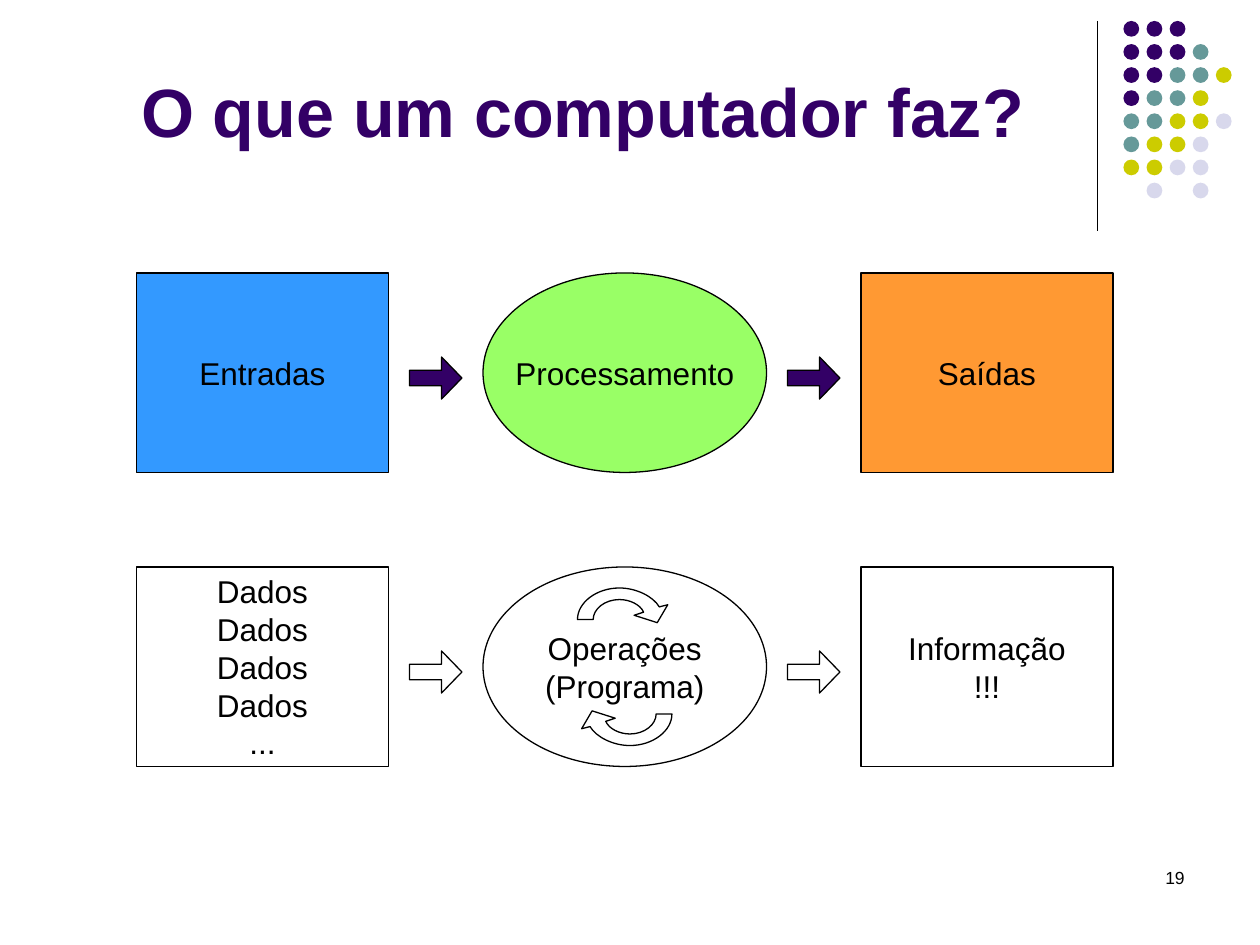
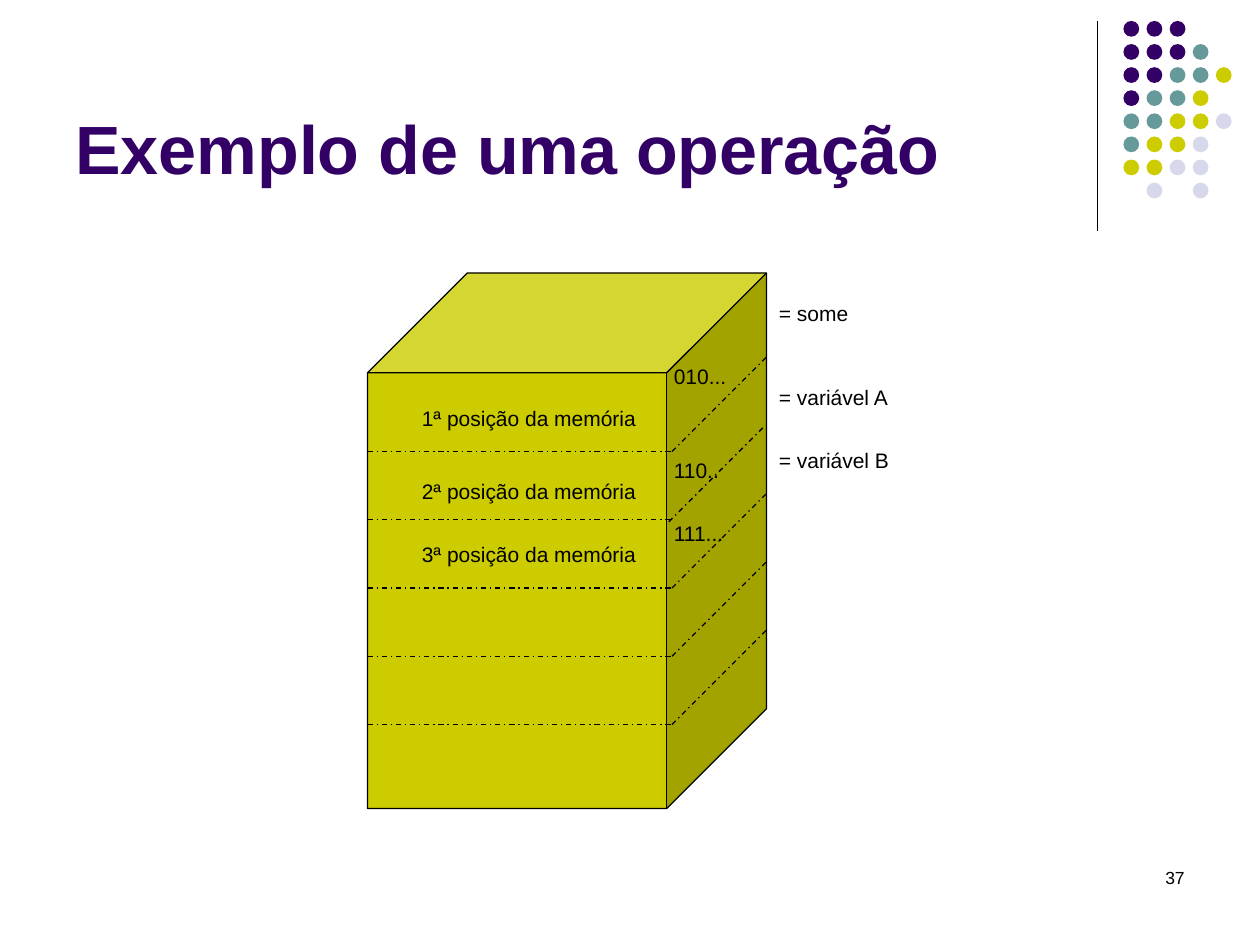
from lxml import etree
from pptx import Presentation
from pptx.dml.color import RGBColor
from pptx.enum import dml, shapes, text
from pptx.oxml import ns
from pptx.util import Emu, Pt

FONT = "Arial"
BLACK = RGBColor(0x00, 0x00, 0x00)
PURPLE = RGBColor(0x33, 0x00, 0x66)
TEAL = RGBColor(0x66, 0x99, 0x99)
YELLOW = RGBColor(0xCC, 0xCC, 0x00)
LILAC = RGBColor(0xD8, 0xD8, 0xEC)
BLUE = RGBColor(0x33, 0x99, 0xFF)
GREEN = RGBColor(0x99, 0xFF, 0x66)
ORANGE = RGBColor(0xFF, 0x99, 0x33)

DOT_COLORS = {"P": PURPLE, "T": TEAL, "Y": YELLOW, "L": LILAC}
DOT_ROWS = ["PPP", "PPPT", "PPTTY", "PTTY", "TTYYL", "TYYL", "YYLL", " L L"]

LEFT, CENTER, RIGHT = text.PP_ALIGN.LEFT, text.PP_ALIGN.CENTER, text.PP_ALIGN.RIGHT
TOP, MIDDLE, BOTTOM = text.MSO_ANCHOR.TOP, text.MSO_ANCHOR.MIDDLE, text.MSO_ANCHOR.BOTTOM
KIND = shapes.MSO_SHAPE


def px(n):
    """Turn pixels (120 to the inch) into EMU."""
    return Emu(n * 7620)


def write(sp, content, size=18, color=BLACK, bold=False, align=LEFT, anchor=TOP, wrap=True):
    """Write each line of the content as a paragraph of the shape."""
    tf = sp.text_frame
    tf.word_wrap = wrap
    tf.vertical_anchor = anchor
    for i, line in enumerate(content.split("\n")):
        p = tf.add_paragraph() if i else tf.paragraphs[0]
        p.alignment = align
        r = p.add_run()
        r.text = line
        r.font.name, r.font.size, r.font.bold = FONT, Pt(size), bold
        r.font.color.rgb = color


def add_text(s, box, content, **fmt):
    """Add a text box."""
    write(s.shapes.add_textbox(*map(px, box)), content, **fmt)


def paint(sp, fill=None, outlined=True):
    """Set fill and outline of a shape and drop its shadow."""
    sp.shadow.inherit = False
    if fill is None:
        sp.fill.background()
    else:
        sp.fill.solid()
        sp.fill.fore_color.rgb = fill
    if outlined:
        sp.line.color.rgb, sp.line.width = BLACK, Pt(0.75)
    else:
        sp.line.fill.background()


def add_shape(s, kind, box, fill=None, outlined=True, adjust=()):
    """Add a painted preset shape."""
    sp = s.shapes.add_shape(kind, *map(px, box))
    paint(sp, fill, outlined)
    for i, value in enumerate(adjust):
        sp.adjustments[i] = value
    return sp


def add_line(s, x1, y1, x2, y2, dash=None):
    """Add a thin black line."""
    line = s.shapes.add_connector(shapes.MSO_CONNECTOR.STRAIGHT, *map(px, (x1, y1, x2, y2)))
    line.line.color.rgb, line.line.width = BLACK, Pt(0.75)
    if dash:
        line.line.dash_style = dash
    etree.SubElement(line._element.spPr, ns.qn("a:effectLst"))


def add_dots(s, x, y):
    """Draw the corner rule and its grid of coloured dots."""
    add_line(s, x - 25, y, x - 25, y + 200)
    for row, codes in enumerate(DOT_ROWS):
        for col, code in enumerate(codes):
            if code in DOT_COLORS:
                add_shape(s, KIND.OVAL, (x + 22 * col, y + 22 * row, 15, 15),
                          DOT_COLORS[code], outlined=False)


def decorate_layout(s):
    """Draw the decoration and move it to the layout that all slides share."""
    add_dots(s, 1070, 20)
    for sp in list(s.shapes):
        s.slide_layout.shapes.element.append(sp.element)


def add_frame(prs, title, number, title_height, align):
    """Add a slide with page number and title."""
    s = prs.slides.add_slide(prs.slide_layouts[6])
    if len(prs.slides) == 1:
        decorate_layout(s)
    add_text(s, (860, 820, 280, 60), number, size=10, align=RIGHT)
    add_text(s, (60, 15, 990, title_height), title, size=39, color=PURPLE, bold=True,
             align=align, anchor=BOTTOM)
    return s


def add_flow(s, x, y, labels, fills=(None, None, None), arrow_fill=None):
    """Draw an input, process and output row joined by block arrows."""
    stages = [(KIND.RECTANGLE, 0, 240), (KIND.OVAL, 330, 270), (KIND.RECTANGLE, 690, 240)]
    for (kind, dx, width), label, fill in zip(stages, labels, fills):
        sp = add_shape(s, kind, (x + dx, y, width, 190), fill)
        write(sp, label, align=CENTER, anchor=MIDDLE, wrap=False)
    for dx in (260, 620):
        add_shape(s, KIND.RIGHT_ARROW, (x + dx, y + 80, 50, 40), arrow_fill,
                  adjust=(0.365, 0.485))


def bend(sp, starts):
    """Turn three segments from each given index into one cubic curve."""
    segments = list(sp.element.iter(ns.qn("a:lnTo")))
    for i in starts:
        cubic = etree.Element(ns.qn("a:cubicBezTo"))
        segments[i].addprevious(cubic)
        for segment in segments[i:i + 3]:
            cubic.append(segment[0])
            segment.getparent().remove(segment)


def add_cycle(s, cx, cy):
    """Draw two curved arrows, one the half-turn of the other about the centre."""
    outline = [(18, -52),
               (15, -59), (5, -64), (-5, -64),
               (-19, -64), (-30, -55), (-30, -45),
               (-45, -45),
               (-45, -61), (-27, -75), (-5, -75),
               (11, -75), (27, -67), (33, -57),
               (41, -59), (31, -42), (9, -49)]
    for turn in (1, -1):
        points = [(px(cx + turn * a), px(cy + turn * b)) for a, b in outline]
        builder = s.shapes.build_freeform(*points[0])
        builder.add_line_segments(points[1:])
        sp = builder.convert_to_shape()
        bend(sp, (0, 3, 7, 10))
        paint(sp)


def add_memory(s, x, y):
    """Draw the memory cube with dashed cells and their labels."""
    add_shape(s, KIND.CUBE, (x, y, 380, 510), YELLOW, adjust=(0.25,))
    dash = dml.MSO_LINE.DASH_DOT
    for i in range(5):
        edge = y + 170 + 65 * i
        add_line(s, x, edge, x + 290, edge, dash)
        dx, dy = (-3, 2) if i == 1 else (0, 0)
        add_line(s, x + 290 + dx, edge + dy, x + 380 + dx, edge - 90 + dy, dash)
    columns = [
        (40, 230, [(120, "1ª posição da memória"), (190, "2ª posição da memória"),
                   (250, "3ª posição da memória")]),
        (380, 130, [(20, "= some"), (100, "= variável A"), (160, "= variável B")]),
        (280, 75, [(80, "010..."), (170, "110.."), (230, "111...")]),
    ]
    for dx, width, labels in columns:
        for dy, label in labels:
            add_text(s, (x + dx, y + dy, width, 36), label, size=12)


def build_computer(prs):
    """Build the slide on what a computer does."""
    s = add_frame(prs, "O que um computador faz?", "19", 135, CENTER)
    add_flow(s, 130, 260, ("Entradas", "Processamento", "Saídas"),
             (BLUE, GREEN, ORANGE), PURPLE)
    add_flow(s, 130, 540, ("Dados\nDados\nDados\nDados\n...", "Operações\n(Programa)",
                           "Informação\n!!!"))
    add_cycle(s, 595, 635)


def build_operation(prs):
    """Build the slide with an example of an operation."""
    s = add_frame(prs, "Exemplo de uma operação", "37", 170, LEFT)
    add_memory(s, 350, 260)


def main():
    """Build and save the presentation."""
    prs = Presentation()
    prs.slide_width, prs.slide_height = px(1200), px(900)
    build_computer(prs)
    build_operation(prs)
    prs.save("out.pptx")


if __name__ == "__main__":
    main()
